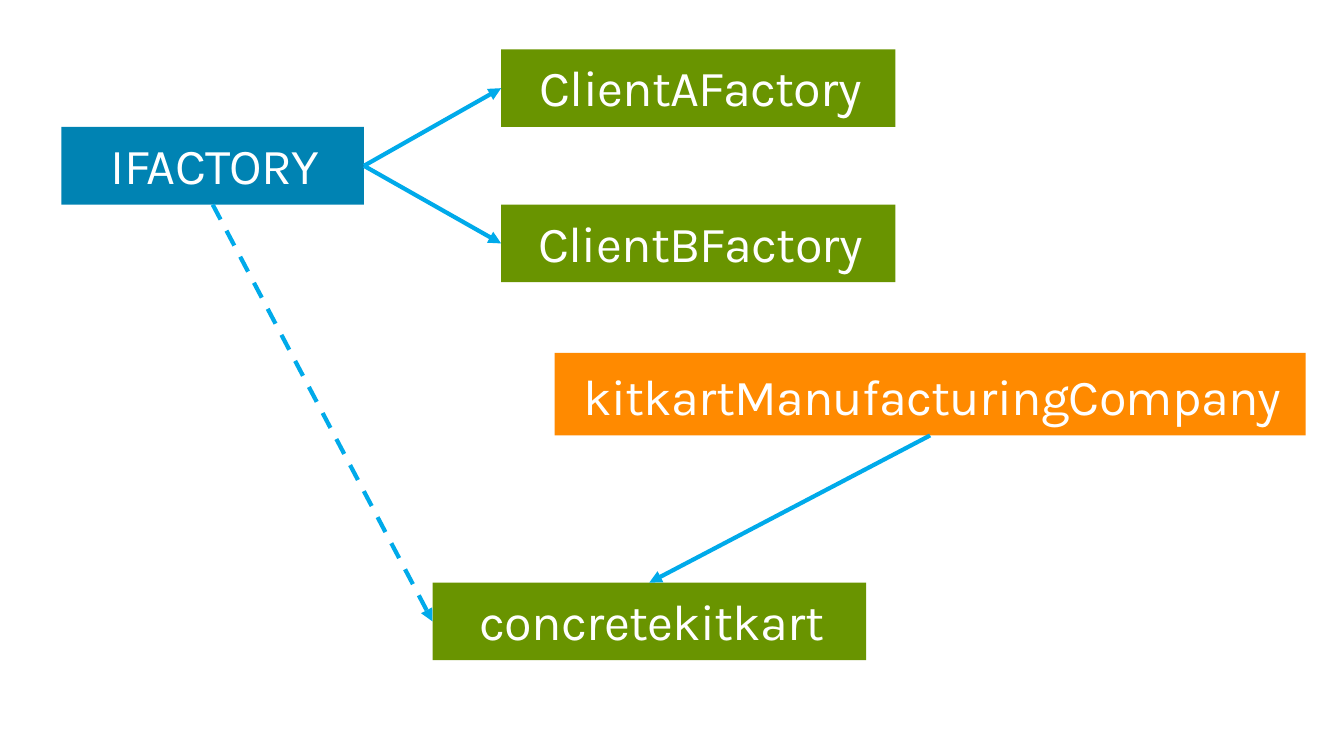
import pptx
import pptx.util
import pptx.dml.color
import pptx.enum.dml
import pptx.enum.shapes
import pptx.enum.text
import pptx.oxml.ns
import lxml.etree

Inches = pptx.util.Inches
Pt = pptx.util.Pt
RGB = pptx.dml.color.RGBColor

BLUE = RGB(0x00, 0x83, 0xB3)
GREEN = RGB(0x69, 0x94, 0x00)
ORANGE = RGB(0xFF, 0x8A, 0x00)
CYAN = RGB(0x00, 0xAA, 0xEA)
WHITE = RGB(0xFF, 0xFF, 0xFF)

TOP, ROW = 0.49, 0.77
UPPER, LEFT, BOTTOM, RIGHT = range(4)

deck = pptx.Presentation()
deck.slide_width = Inches(13.33)
deck.slide_height = Inches(7.5)
slide = deck.slides.add_slide(deck.slide_layouts[6])


def add_box(text, left, top, width, fill, height=ROW):
    box = slide.shapes.add_shape(
        pptx.enum.shapes.MSO_SHAPE.RECTANGLE,
        Inches(left), Inches(top), Inches(width), Inches(height))
    box.shadow.inherit = False
    box.fill.solid()
    box.fill.fore_color.rgb = fill
    box.line.fill.background()
    frame = box.text_frame
    frame.word_wrap = True
    frame.vertical_anchor = pptx.enum.text.MSO_ANCHOR.BOTTOM
    frame.margin_left = frame.margin_bottom = Inches(0.1)
    frame.margin_top = frame.margin_right = Inches(0.05)
    para = frame.paragraphs[0]
    para.alignment = pptx.enum.text.PP_ALIGN.CENTER
    run = para.add_run()
    run.text = text
    run.font.name = "Karla"
    run.font.size = Pt(36)
    run.font.color.rgb = WHITE
    run._r.get_or_add_rPr().set("spc", "-50")
    return box


base = add_box("IFACTORY", 0.61, TOP + ROW, 3, BLUE)
plant_b = add_box("ClientBFactory", 4.97, TOP + 2 * ROW, 3.91, GREEN)
plant_a = add_box("ClientAFactory", 4.97, TOP, 3.91, GREEN)
maker = add_box("kitkartManufacturingCompany", 5.5, 3.5, 7.45, ORANGE, height=0.82)
product = add_box("concretekitkart", 4.29, 5.78, 4.3, GREEN)

links = [
    (base, RIGHT, plant_a, LEFT, False),
    (base, RIGHT, plant_b, LEFT, False),
    (maker, BOTTOM, product, UPPER, False),
    (base, BOTTOM, product, LEFT, True),
]
for start, out, end, into, dashed in links:
    link = slide.shapes.add_connector(
        pptx.enum.shapes.MSO_CONNECTOR.STRAIGHT,
        start.left, start.top, end.left, end.top)
    link.begin_connect(start, out)
    link.end_connect(end, into)
    link.line.color.rgb = CYAN
    link.line.width = Pt(3)
    if dashed:
        link.line.dash_style = pptx.enum.dml.MSO_LINE.DASH
    tip = lxml.etree.SubElement(
        link.line._get_or_add_ln(), pptx.oxml.ns.qn("a:tailEnd"))
    tip.set("type", "triangle")
    lxml.etree.SubElement(
        link._element.spPr, pptx.oxml.ns.qn("a:effectLst"))

deck.save("out.pptx")
